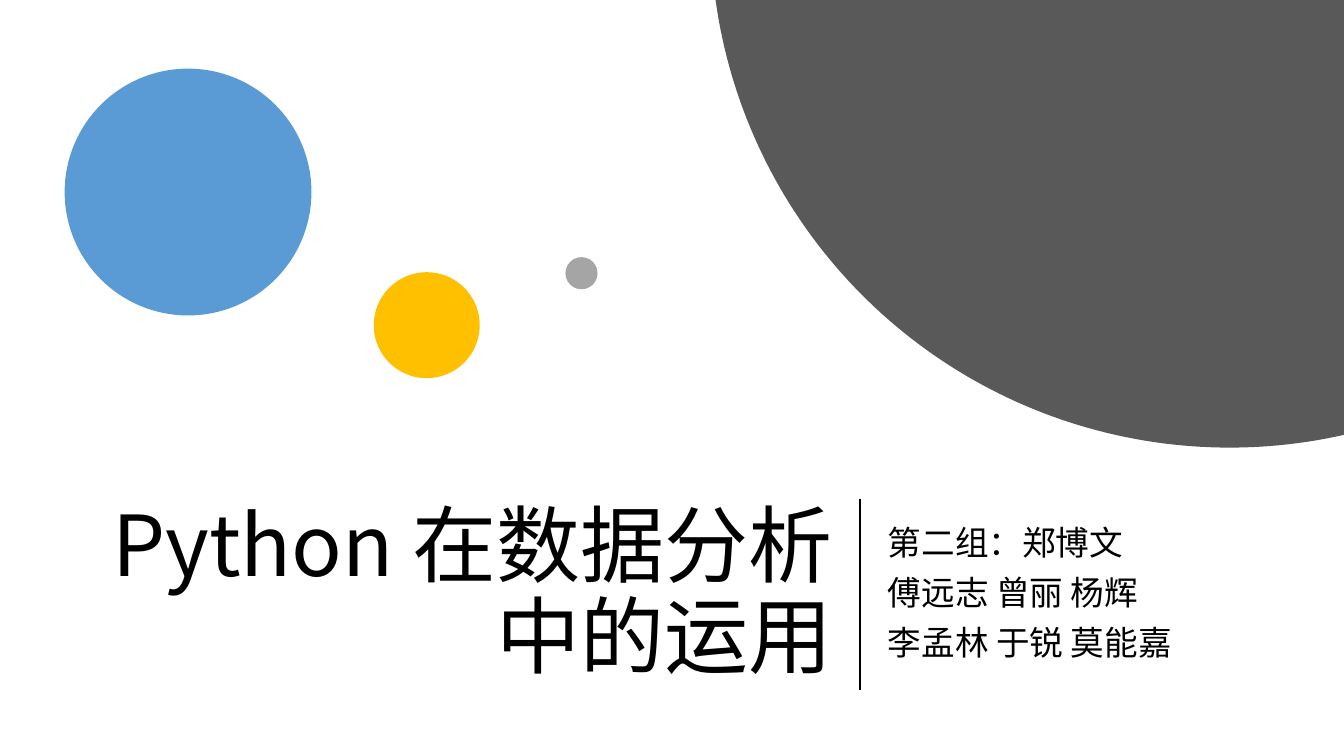
from math import acos, asin, cos, pi, sin

from lxml.etree import SubElement
from pptx import Presentation
from pptx.dml.color import RGBColor
from pptx.enum.shapes import MSO_CONNECTOR, MSO_SHAPE
from pptx.enum.text import MSO_ANCHOR, MSO_AUTO_SIZE, PP_ALIGN
from pptx.oxml.ns import qn
from pptx.util import Cm, Pt

BLACK = RGBColor(0x00, 0x00, 0x00)
BLUE = RGBColor(0x5B, 0x9B, 0xD5)
GOLD = RGBColor(0xFF, 0xC0, 0x00)
SILVER = RGBColor(0xA5, 0xA5, 0xA5)
GREY = RGBColor(0x59, 0x59, 0x59)
FONT = "Noto Sans CJK SC"

TITLE = ["Python 在数据分析中的运用"]
TEAM = ["第二组：郑博文", "傅远志 曾丽 杨辉", "李孟林 于锐 莫能嘉"]
DOTS = [
    (1.63, 1.73, 6.22, BLUE),
    (9.42, 6.86, 2.67, GOLD),
    (14.25, 6.48, 0.81, SILVER),
]
WIDE, HIGH = 33.87, 19.05
DISC = (30.99, -1.8, 13.08)
STEPS = 90
TOP, TALL = 12.57, 4.83
RULE = 21.67


def write(box, lines, left, width, size, align=PP_ALIGN.LEFT, before=0):
    """Place a box in the text band and fill it with formatted lines."""
    box.left, box.top, box.width, box.height = Cm(left), Cm(TOP), Cm(width), Cm(TALL)
    frame = box.text_frame
    frame.word_wrap = True
    frame.auto_size = MSO_AUTO_SIZE.NONE
    frame.vertical_anchor = MSO_ANCHOR.MIDDLE
    frame.text = "\n".join(lines)
    for para in frame.paragraphs:
        para.alignment = align
        para.line_spacing = 0.9
        para.space_before = Pt(before)
        for run in para.runs:
            font = run.font
            font.size, font.name, font.color.rgb = Pt(size), FONT, BLACK
            SubElement(run._r.get_or_add_rPr(), qn("a:ea"), typeface=FONT)


def paint(shape, color):
    """Give a shape a plain fill without outline or shadow."""
    shape.shadow.inherit = False
    shape.fill.solid()
    shape.fill.fore_color.rgb = color
    shape.line.fill.background()


def arc():
    """Return the points of the disc's edge inside the slide."""
    x, y, r = DISC
    start, end = pi - asin(-y / r), acos((WIDE - x) / r)
    turns = [start + (end - start) * i / STEPS for i in range(STEPS + 1)]
    return [(Cm(x + r * cos(t)), Cm(y + r * sin(t))) for t in turns]


def main():
    """Build the title slide and save it."""
    deck = Presentation()
    deck.slide_width, deck.slide_height = Cm(WIDE), Cm(HIGH)
    slide = deck.slides.add_slide(deck.slide_layouts[0])
    shapes = slide.shapes

    write(shapes.title, TITLE, 2.34, 18.9, 60, align=PP_ALIGN.RIGHT)
    write(slide.placeholders[1], TEAM, 22.12, 9.04, 24, before=10)

    for left, top, size, color in DOTS:
        dot = shapes.add_shape(MSO_SHAPE.OVAL, Cm(left), Cm(top), Cm(size), Cm(size))
        paint(dot, color)

    edge = arc()
    path = shapes.build_freeform(*edge[0])
    path.add_line_segments([*edge[1:], (Cm(WIDE), 0)], close=True)
    paint(path.convert_to_shape(), GREY)

    rule = shapes.add_connector(
        MSO_CONNECTOR.STRAIGHT, Cm(RULE), Cm(TOP), Cm(RULE), Cm(TOP + TALL)
    )
    rule.line.color.rgb = BLACK
    rule.line.width = Pt(1.5)
    SubElement(rule._element.spPr, qn("a:effectLst"))

    deck.save("out.pptx")


if __name__ == "__main__":
    main()
